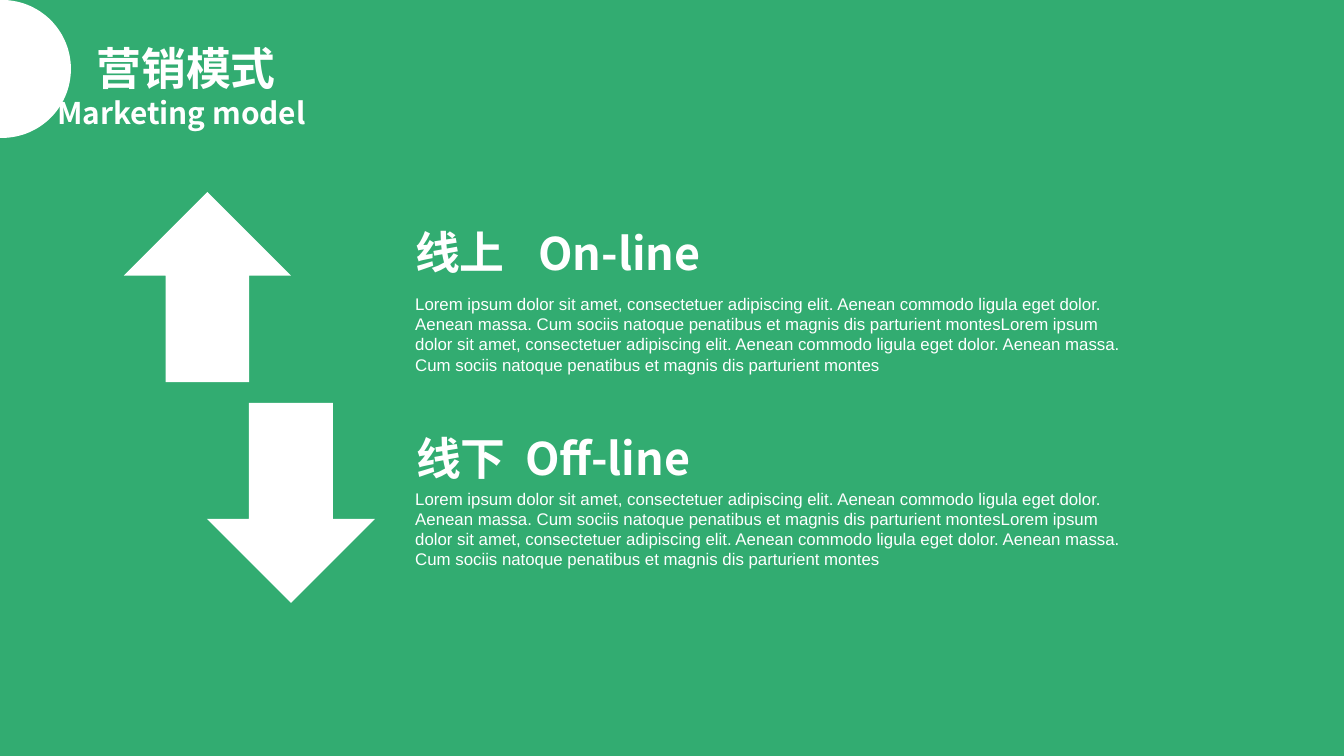
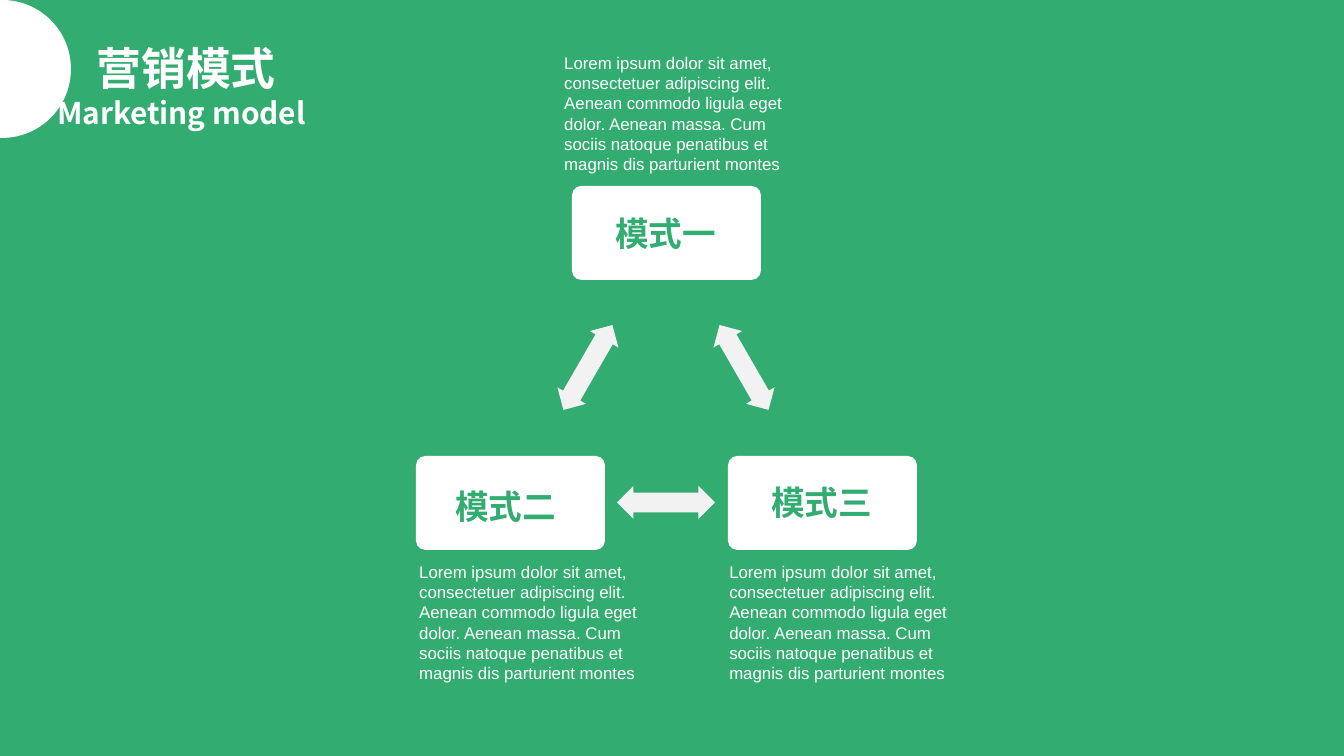
import math
from dataclasses import dataclass

from lxml import etree
from pptx import Presentation
from pptx.dml.color import RGBColor
from pptx.enum.shapes import MSO_SHAPE
from pptx.enum.text import MSO_ANCHOR, MSO_AUTO_SIZE, PP_ALIGN
from pptx.oxml.ns import qn
from pptx.util import Inches, Pt

UP_ARROW = MSO_SHAPE.UP_ARROW
DOWN_ARROW = MSO_SHAPE.DOWN_ARROW
DOUBLE_ARROW = MSO_SHAPE.LEFT_RIGHT_ARROW
CARD = MSO_SHAPE.ROUNDED_RECTANGLE
FIT_SHAPE = MSO_AUTO_SIZE.SHAPE_TO_FIT_TEXT
TOP = MSO_ANCHOR.TOP
LEFT = PP_ALIGN.LEFT

EMU_PER_PX = Inches(10) / 1344
SLIDE_W, SLIDE_H = 1344, 756
TITLE_ONLY = 5


@dataclass(frozen=True)
class TextStyle:
    size: int
    font: str
    color: RGBColor
    bold: bool = False


@dataclass(frozen=True)
class Theme:
    green = RGBColor.from_string("32AC71")
    white = RGBColor.from_string("FFFFFF")
    pale = RGBColor.from_string("F2F2F2")
    heading = TextStyle(24, "Noto Sans CJK SC", white, True)
    subtitle = TextStyle(16, "Noto Sans CJK SC", white, True)
    label = TextStyle(18, "Noto Sans CJK SC", green, True)
    body = TextStyle(9, "Arial", white)


THEME = Theme()

LOREM = (
    "Lorem ipsum dolor sit amet, consectetuer adipiscing elit. "
    "Aenean commodo ligula eget dolor. Aenean massa. "
    "Cum sociis natoque penatibus et magnis dis parturient montes"
)


def px(length):
    return round(length * EMU_PER_PX)


def box(*lengths):
    return [px(length) for length in lengths]


def write(holder, text, style, wrap):
    frame = holder.text_frame
    frame.word_wrap = wrap
    frame.auto_size = FIT_SHAPE
    frame.vertical_anchor = TOP
    paragraph = frame.paragraphs[0]
    paragraph.alignment = LEFT
    run = paragraph.add_run()
    run.text = text
    run.font.size = Pt(style.size)
    run.font.bold = style.bold
    run.font.color.rgb = style.color
    run.font.name = style.font
    properties = run._r.get_or_add_rPr()
    etree.SubElement(properties, qn("a:ea"), typeface=style.font)


def add_text(slide, bounds, text, style, wrap=False):
    write(slide.shapes.add_textbox(*box(*bounds)), text, style, wrap)


def paint(shape, color):
    shape.shadow.inherit = False
    shape.fill.solid()
    shape.fill.fore_color.rgb = color
    shape.line.fill.background()


def add_figure(slide, preset, bounds, color, adjustments=(), rotation=0):
    figure = slide.shapes.add_shape(preset, *box(*bounds))
    for index, value in enumerate(adjustments):
        figure.adjustments[index] = value
    figure.rotation = rotation
    paint(figure, color)


def add_corner_disc(slide, center_x=2, radius=69, steps=60):
    angles = [math.pi * (step / steps - 0.5) for step in range(steps + 1)]
    rim = [
        (px(center_x + radius * math.cos(angle)), px(radius + radius * math.sin(angle)))
        for angle in angles
    ]
    outline = slide.shapes.build_freeform(0, 0)
    outline.add_line_segments(rim + [(0, px(2 * radius))], close=True)
    paint(outline.convert_to_shape(), THEME.white)


def add_titled_slide(deck):
    slide = deck.slides.add_slide(deck.slide_layouts[TITLE_ONLY])
    title = slide.shapes.title
    title.left, title.top, title.width, title.height = box(83, 34, 209, 67)
    write(title, "营销模式", THEME.heading, wrap=False)
    add_text(slide, (44, 88, 284, 50), "Marketing model", THEME.subtitle)
    add_corner_disc(slide)
    return slide


def add_channels(slide):
    add_figure(slide, UP_ARROW, (124, 192, 167, 190), THEME.white)
    add_figure(slide, DOWN_ARROW, (207, 403, 168, 200), THEME.white)
    channels = [
        (("线上", 402, 218, 119), ("On-line", 525, 219, 190), 287),
        (("线下", 403, 424, 119), ("Off-line", 512, 424, 195), 482),
    ]
    for chinese, english, description_top in channels:
        for name, left, top, width in (chinese, english):
            add_text(slide, (left, top, width, 67), name, THEME.heading)
        add_text(slide, (402, description_top, 742, 94), LOREM * 2, THEME.body, wrap=True)


def add_cycle(slide):
    modes = [
        ("模式一", (572, 186), (602, 206), (551, 46, 246)),
        ("模式二", (416, 456), (442, 479), (406, 555, 249)),
        ("模式三", (728, 456), (758, 475), (716, 555, 246)),
    ]
    for name, card_corner, label_corner, description in modes:
        add_figure(slide, CARD, (*card_corner, 189, 94), THEME.white, [0.1])
        add_text(slide, (*label_corner, 129, 54), name, THEME.label)
        add_text(slide, (*description, 136), LOREM, THEME.body, wrap=True)
    for left, top, rotation in ((695, 351, 60), (617, 486, 0), (539, 351, 300)):
        add_figure(slide, DOUBLE_ARROW, (left, top, 98, 33), THEME.pale, [0.6, 0.5], rotation)


def main():
    deck = Presentation()
    deck.slide_width, deck.slide_height = box(SLIDE_W, SLIDE_H)
    backdrop = deck.slide_master.background.fill
    backdrop.solid()
    backdrop.fore_color.rgb = THEME.green
    add_channels(add_titled_slide(deck))
    add_cycle(add_titled_slide(deck))
    deck.save("out.pptx")


if __name__ == "__main__":
    main()
